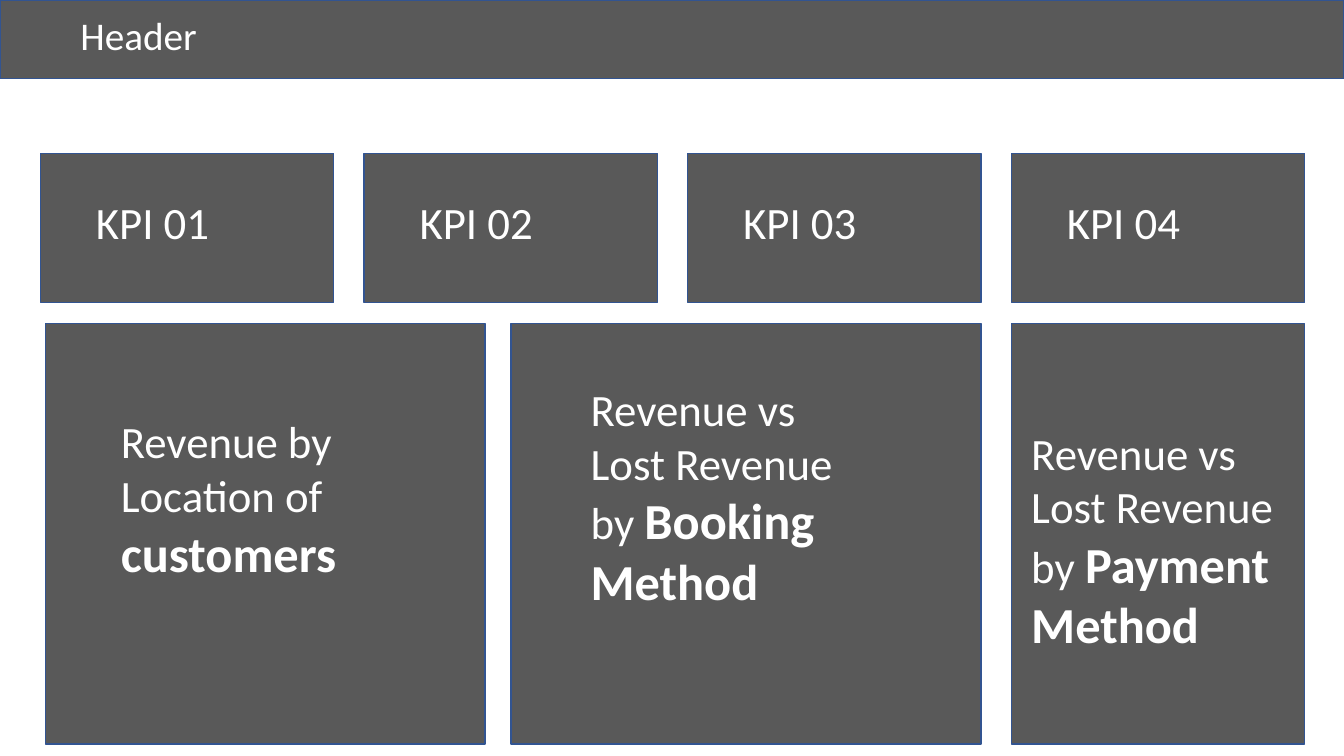
from dataclasses import dataclass

from pptx import Presentation
from pptx.dml.color import RGBColor
from pptx.enum.shapes import MSO_SHAPE
from pptx.enum.text import MSO_AUTO_SIZE
from pptx.util import Emu, Inches, Pt

RECT = MSO_SHAPE.RECTANGLE
GROW = MSO_AUTO_SIZE.SHAPE_TO_FIT_TEXT
WIDTH, HEIGHT = Inches(13.33), Inches(7.5)
GREY, BLUE, WHITE = "595959", "325491", "FFFFFF"
MARGIN, PITCH, COLUMN = 3, 24.08, 21.83
KPI_TOP, KPI_HEIGHT = 20.27, 19.73
PANEL_TOP, PANEL_HEIGHT = 42.8, 55.6


@dataclass
class Box:
    """Percentages of the slide's width and height."""
    left: float
    top: float
    width: float
    height: float

    def emu(self) -> tuple[Emu, Emu, Emu, Emu]:
        return (Emu(round(WIDTH * self.left / 100)), Emu(round(HEIGHT * self.top / 100)),
                Emu(round(WIDTH * self.width / 100)), Emu(round(HEIGHT * self.height / 100)))


@dataclass
class Card:
    frame: Box
    label: Box
    lines: list[str]
    strong: str = ""
    size: int = 32


def rgb(value: str) -> RGBColor:
    return RGBColor.from_string(value)


def column_left(index: int) -> float:
    return MARGIN + index * PITCH


def kpi(index: int) -> Card:
    left = column_left(index)
    return Card(Box(left, KPI_TOP, COLUMN, KPI_HEIGHT),
                Box(left + 3.4, 25.07, 15, 8.53), [f"KPI {index + 1:02d}"])


def panel(left: float, width: float, label: Box, lines: list[str], strong: str) -> Card:
    return Card(Box(left, PANEL_TOP, width, PANEL_HEIGHT), label, lines, strong)


def draw_card(s, card: Card) -> None:
    group = s.shapes.add_group_shape()
    sp = group.shapes.add_shape(RECT, *card.frame.emu())
    sp.shadow.inherit = False
    sp.fill.solid()
    sp.fill.fore_color.rgb = rgb(GREY)
    sp.line.color.rgb = rgb(BLUE)
    sp.line.width = Pt(1)

    tf = group.shapes.add_textbox(*card.label.emu()).text_frame
    tf.word_wrap = True
    tf.auto_size = GROW
    p = tf.paragraphs[0]
    p.font.name = "Calibri"
    p.font.size = Pt(card.size)
    p.font.color.rgb = rgb(WHITE)
    for i, line in enumerate(card.lines):
        if i:
            p.add_line_break()
        p.add_run().text = line
    if card.strong:
        r = p.add_run()
        r.text = card.strong
        r.font.size = Pt(36)
        r.font.bold = True


def main() -> None:
    prs = Presentation()
    prs.slide_width, prs.slide_height = WIDTH, HEIGHT
    s = prs.slides.add_slide(prs.slide_layouts[6])
    versus = ["Revenue vs Lost Revenue", "by "]
    cards = [
        *(kpi(i) for i in range(4)),
        panel(column_left(3), COLUMN, Box(75.99, 55.6, 20.63, 31.87), versus, "Payment Method"),
        panel(38.03, 34.96, Box(43.21, 49.87, 20.63, 31.87), versus, "Booking Method"),
        panel(3.38, 32.71, Box(8.25, 54.13, 20.63, 23.73),
              ["Revenue by Location of "], "customers"),
        Card(Box(0, 0, 100, 10.4), Box(5.25, 0.8, 19.73, 7.6), ["Header"], size=28),
    ]
    for card in cards:
        draw_card(s, card)
    prs.save("out.pptx")


if __name__ == "__main__":
    main()
